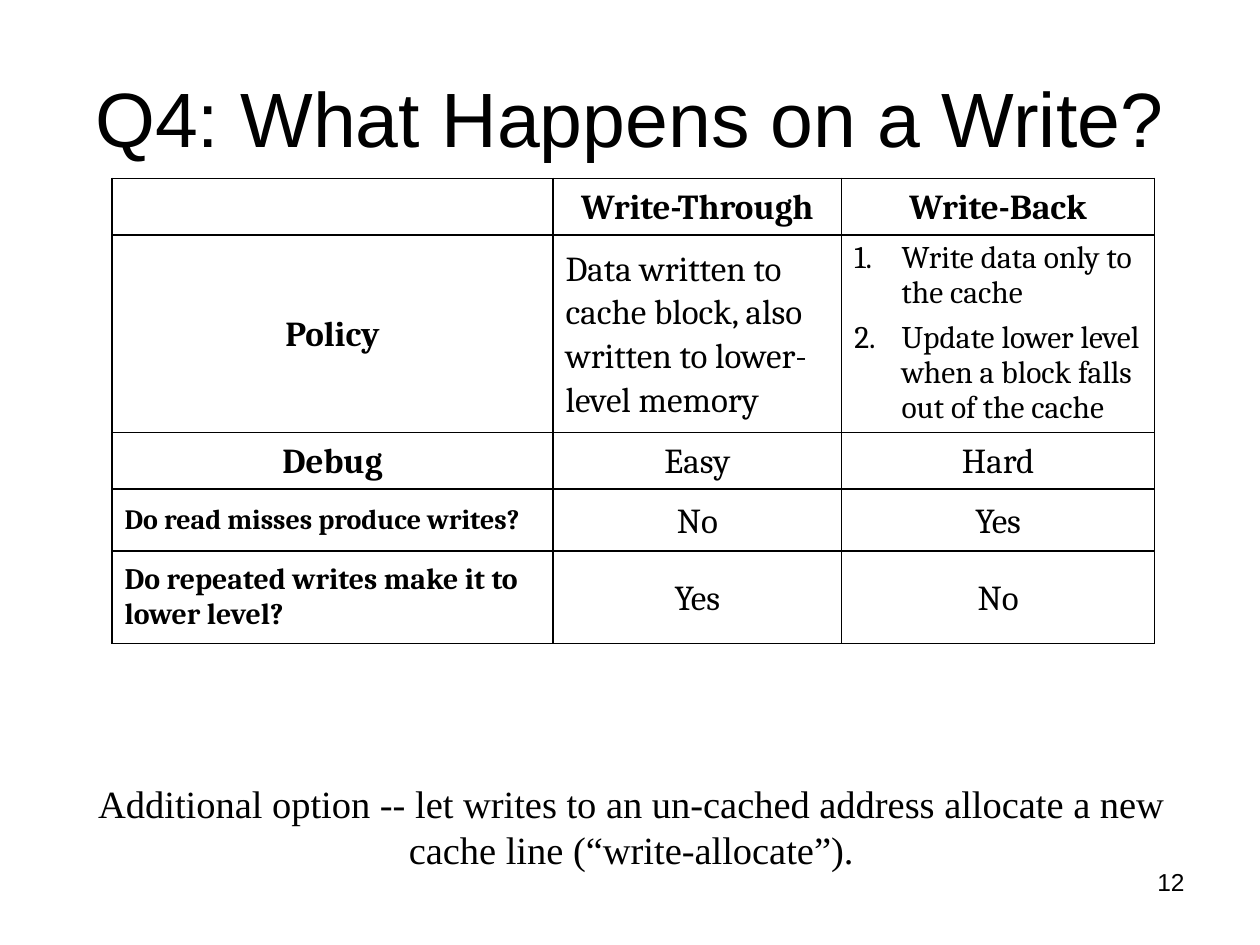
"""Build the slide comparing write-through and write-back caches."""

from lxml import etree
from pptx import Presentation
from pptx.dml.color import RGBColor
from pptx.enum.text import MSO_ANCHOR, PP_ALIGN
from pptx.oxml.ns import qn
from pptx.util import Pt

BLACK = RGBColor(0, 0, 0)


def add_run(para, text, font, size, bold=False):
    span = para.add_run()
    span.text = text
    span.font.name = font
    span.font.size = Pt(size)
    span.font.bold = bold
    span.font.color.rgb = BLACK


def add_border(cell):
    properties = cell._tc.get_or_add_tcPr()
    for side in ("lnL", "lnR", "lnT", "lnB"):
        line = etree.SubElement(properties, qn(f"a:{side}"), w=str(Pt(1)))
        fill = etree.SubElement(line, qn("a:solidFill"))
        etree.SubElement(fill, qn("a:srgbClr"), val=str(BLACK))


deck = Presentation()
deck.slide_width = Pt(720)
deck.slide_height = Pt(540)
page = deck.slides.add_slide(deck.slide_layouts[6])

texts = [
    ("Q4: What Happens on a Write?", (36, 21.6, 648, 90), "Arial", 44,
     PP_ALIGN.CENTER, MSO_ANCHOR.MIDDLE, (7.2, 3.6)),
    ("Additional option -- let writes to an un-cached address allocate a new "
     "cache line (“write-allocate”).", (47.5, 445.7, 626.4, 53.3),
     "Times New Roman", 22, PP_ALIGN.CENTER, MSO_ANCHOR.TOP, (0, 0)),
    ("12", (516.2, 491.8, 167.8, 37.4), "Arial", 14,
     PP_ALIGN.RIGHT, MSO_ANCHOR.TOP, (7.2, 3.6)),
]
for text, place, font, size, align, anchor, (side, edge) in texts:
    box = page.shapes.add_textbox(*map(Pt, place))
    frame = box.text_frame
    frame.word_wrap = True
    frame.vertical_anchor = anchor
    frame.margin_left = frame.margin_right = Pt(side)
    frame.margin_top = frame.margin_bottom = Pt(edge)
    para = frame.paragraphs[0]
    para.alignment = align
    add_run(para, text, font, size)

# Each style holds size, line spacing, bold, alignment and numbering.
styles = {
    "head": (20, 25, True, PP_ALIGN.CENTER, False),
    "value": (20, 25, False, PP_ALIGN.CENTER, False),
    "prose": (20, 25, False, PP_ALIGN.LEFT, False),
    "steps": (18, 20, False, PP_ALIGN.LEFT, True),
    "question": (16, 19, True, PP_ALIGN.LEFT, False),
    "long question": (17, 20, True, PP_ALIGN.LEFT, False),
}
rows = [
    [("head", []), ("head", ["Write-Through"]), ("head", ["Write-Back"])],
    [("head", ["Policy"]),
     ("prose", ["Data written to cache block, also written to lower-level memory"]),
     ("steps", ["Write data only to the cache",
                "Update lower level when a block falls out of the cache"])],
    [("head", ["Debug"]), ("value", ["Easy"]), ("value", ["Hard"])],
    [("question", ["Do read misses produce writes?"]),
     ("value", ["No"]), ("value", ["Yes"])],
    [("long question", ["Do repeated writes make it to lower level?"]),
     ("value", ["Yes"]), ("value", ["No"])],
]
widths = [252, 165, 178.8]
heights = [32.4, 112.6, 32.4, 35.4, 52.8]
table = page.shapes.add_table(
    len(rows), len(widths), Pt(64), Pt(102), Pt(sum(widths)), Pt(sum(heights))
).table
table.first_row = False
table.horz_banding = False
for column, width in zip(table.columns, widths):
    column.width = Pt(width)

for row, height, entries in zip(table.rows, heights, rows):
    row.height = Pt(height)
    for cell, (style, lines) in zip(row.cells, entries):
        size, spacing, bold, align, numbered = styles[style]
        add_border(cell)
        cell.fill.background()
        cell.vertical_anchor = MSO_ANCHOR.MIDDLE
        for index, text in enumerate(lines):
            frame = cell.text_frame
            para = frame.add_paragraph() if index else frame.paragraphs[0]
            para.alignment = align
            para.line_spacing = Pt(spacing)
            if index:
                para.space_before = Pt(0.3 * size)
            if numbered:
                properties = para._p.get_or_add_pPr()
                properties.set("marL", str(Pt(27)))
                properties.set("indent", str(Pt(-27)))
                etree.SubElement(properties, qn("a:buAutoNum"), type="arabicPeriod")
            add_run(para, text, "Cambria", size, bold)

deck.save("out.pptx")
